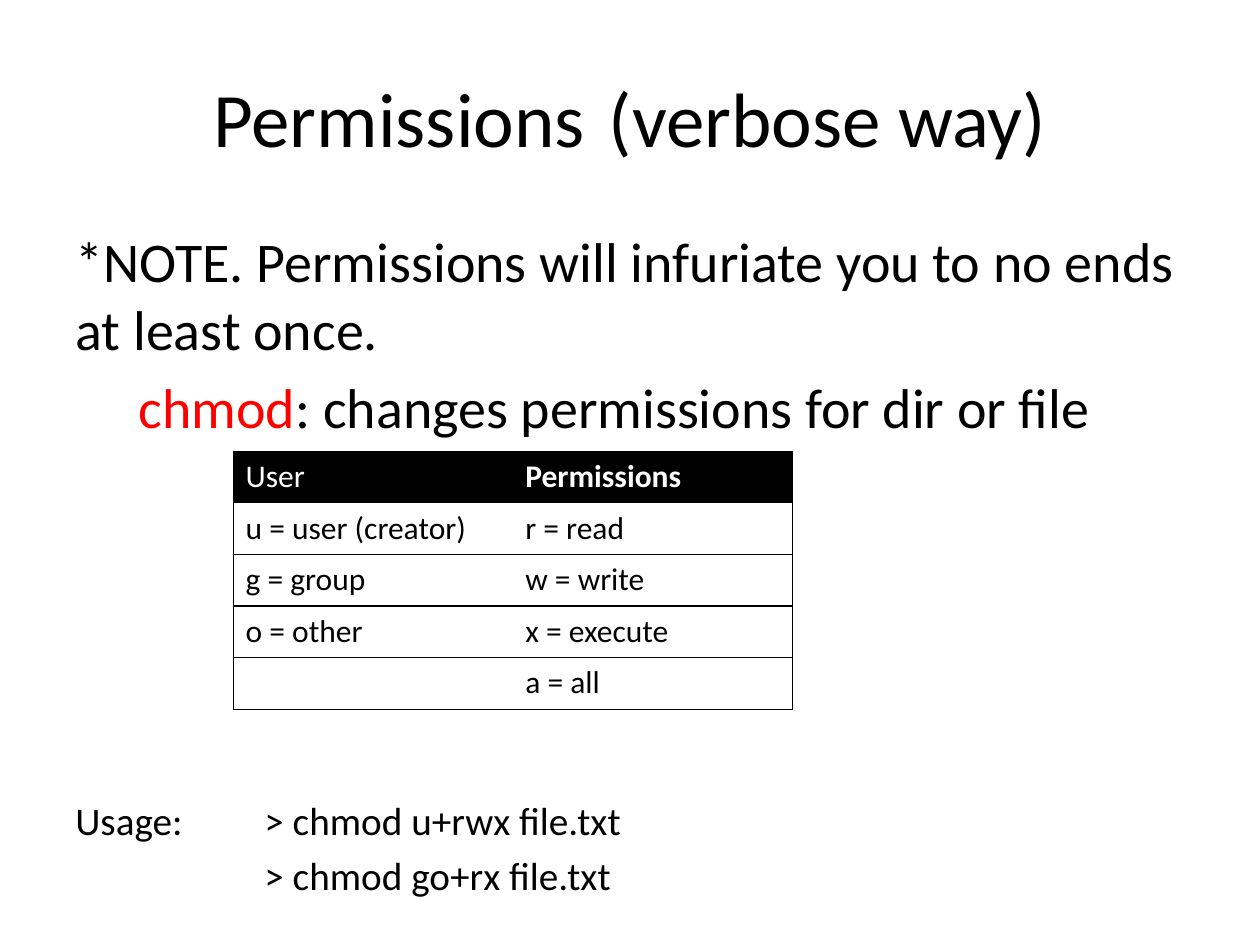
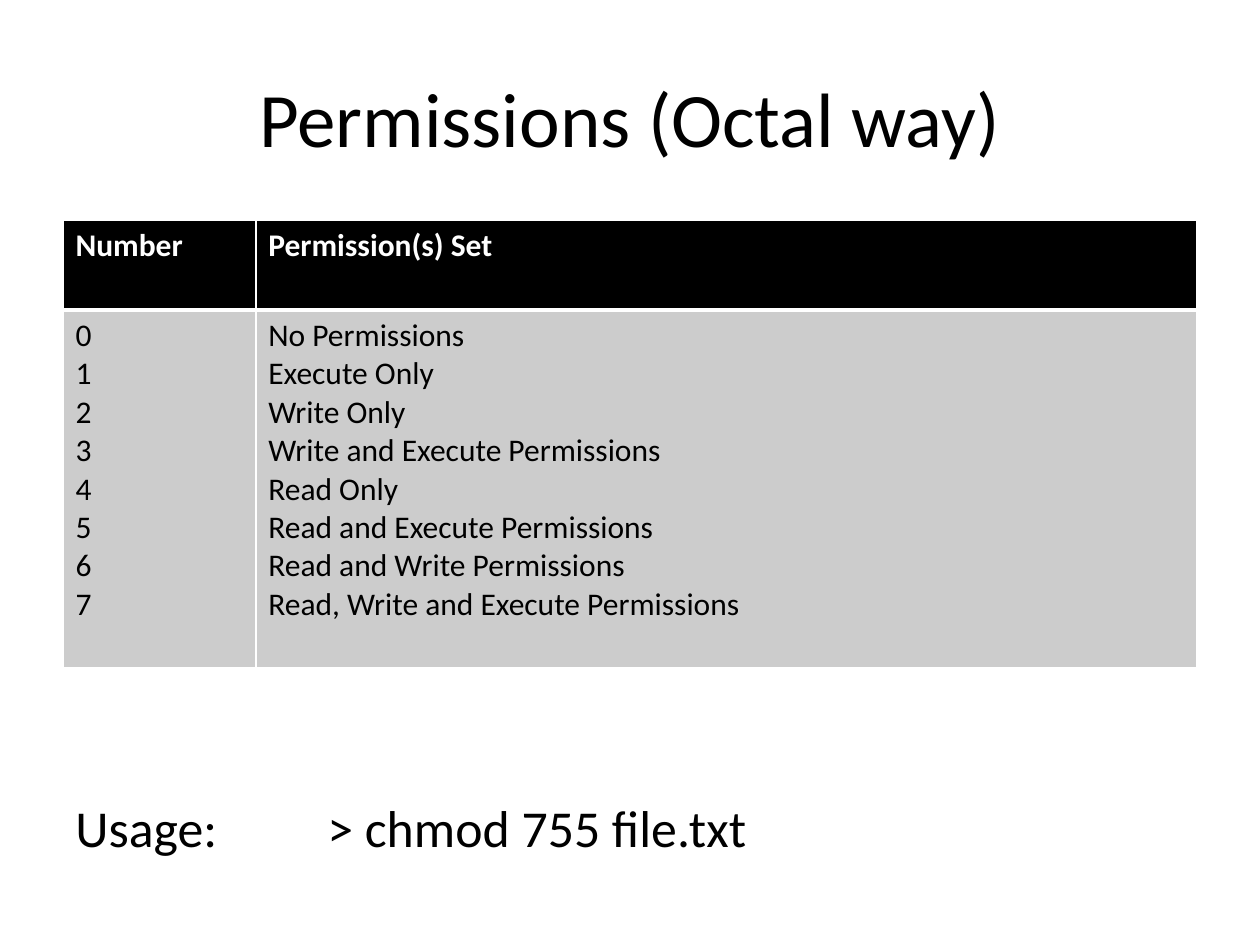
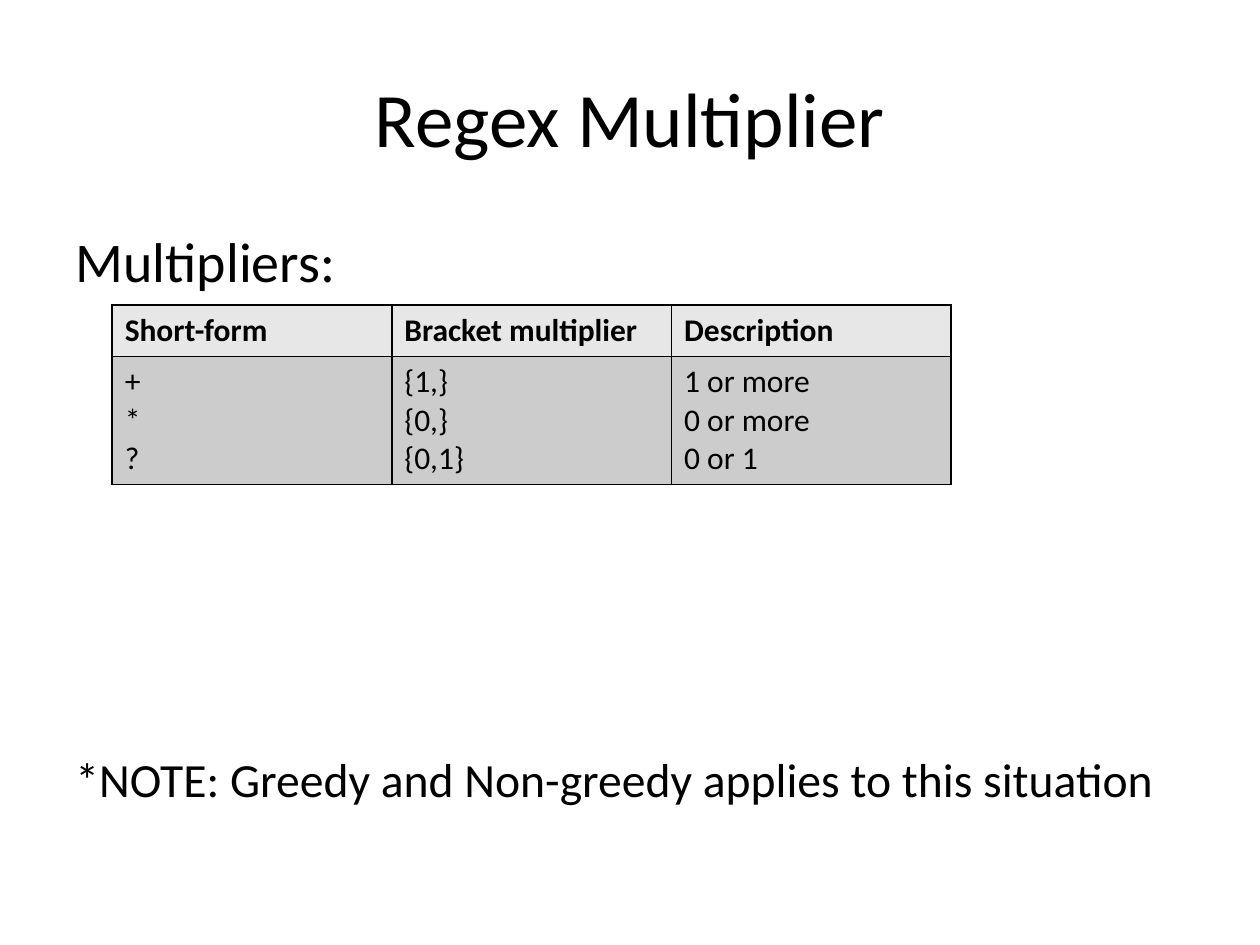
import pptx
import pptx.dml.color
import pptx.enum.text
import pptx.oxml.ns
import pptx.util
from lxml import etree

Inches = pptx.util.Inches
Pt = pptx.util.Pt
RGBColor = pptx.dml.color.RGBColor

BLACK = RGBColor(0x00, 0x00, 0x00)
WHITE = RGBColor(0xFF, 0xFF, 0xFF)
RED = RGBColor(0xFF, 0x00, 0x00)
LIGHT_GREY = RGBColor(0xE7, 0xE7, 0xE7)
GREY = RGBColor(0xCC, 0xCC, 0xCC)


def add_element(parent, tag, **attributes):
    element = etree.SubElement(parent, pptx.oxml.ns.qn(tag))
    for name, value in attributes.items():
        element.set(name, str(value))
    return element


class SlideBuilder:
    font_name = "Calibri"
    left = 0.5
    width = 9
    title_size = 44
    body_size = 32
    table_size = 18
    header_text = WHITE

    def __init__(self, deck):
        self.deck = deck
        self.slide = None

    def place(self, shape, left, top, width, height):
        shape.left, shape.top = Inches(left), Inches(top)
        shape.width, shape.height = Inches(width), Inches(height)

    def format_run(self, run, size, color=BLACK, bold=False):
        run.font.name = self.font_name
        run.font.size = Pt(size)
        run.font.color.rgb = color
        run.font.bold = bold

    def new_slide(self, title, has_body=True):
        layout = self.deck.slide_layouts[1 if has_body else 5]
        self.slide = self.deck.slides.add_slide(layout)
        box = self.slide.shapes.title
        self.place(box, self.left, 0.3, self.width, 1.25)
        box.text_frame.text = title
        self.format_run(box.text_frame.paragraphs[0].runs[0], self.title_size)

    def fill_frame(self, frame, lines, size):
        frame.word_wrap = True
        frame.auto_size = pptx.enum.text.MSO_AUTO_SIZE.NONE
        frame.text = "\n".join(lines)
        for index, para in enumerate(frame.paragraphs):
            para.space_before = Pt(round(size * 0.2, 1) if index else 0)
            for run in para.runs:
                self.format_run(run, size)

    def body(self, lines, height):
        box = self.slide.placeholders[1]
        self.place(box, self.left, 1.75, self.width, height)
        self.fill_frame(box.text_frame, lines, self.body_size)
        for para in box.text_frame.paragraphs:
            properties = para._p.get_or_add_pPr()
            properties.set("marL", "0")
            properties.set("indent", "0")
            add_element(properties, "a:buNone")
        return box.text_frame

    def text_box(self, lines, top, height, size, tab=None):
        box = self.slide.shapes.add_textbox(
            Inches(self.left), Inches(top), Inches(self.width), Inches(height))
        self.fill_frame(box.text_frame, lines, size)
        if tab:
            for para in box.text_frame.paragraphs:
                tabs = add_element(para._p.get_or_add_pPr(), "a:tabLst")
                add_element(tabs, "a:tab", pos=Inches(tab), algn="l")

    def border(self, cell, side, color, width):
        line = add_element(cell._tc.get_or_add_tcPr(), "a:ln" + side, w=Pt(width))
        if width:
            fill = add_element(line, "a:solidFill")
            add_element(fill, "a:srgbClr", val=color)
        else:
            add_element(line, "a:noFill")

    def table(self, rows, left, top, columns, heights, header_fill, body_fill,
              header_text, line_color, line=1, inner_vertical=1, header_rule=1):
        shape = self.slide.shapes.add_table(
            len(rows), len(columns), Inches(left), Inches(top),
            Inches(sum(columns)), Inches(sum(heights)))
        table = shape.table
        table.horz_banding = False
        for column, width in zip(table.columns, columns):
            column.width = Inches(width)
        for row, height in zip(table.rows, heights):
            row.height = Inches(height)
        for row_index, row in enumerate(rows):
            is_header = row_index == 0
            for column_index, text in enumerate(row):
                cell = table.cell(row_index, column_index)
                cell.text = text
                for para in cell.text_frame.paragraphs:
                    for run in para.runs:
                        self.format_run(run, self.table_size,
                                        header_text if is_header else BLACK, is_header)
                widths = {
                    "L": inner_vertical if column_index else line,
                    "R": inner_vertical if column_index < len(columns) - 1 else line,
                    "T": header_rule if row_index == 1 else line,
                    "B": header_rule if is_header else line,
                }
                for side, width in widths.items():
                    self.border(cell, side, line_color, width)
                cell.fill.solid()
                cell.fill.fore_color.rgb = header_fill if is_header else body_fill
        return table


def verbose_permissions(builder):
    builder.new_slide("Permissions\t (verbose way)")
    frame = builder.body([
        "*NOTE. Permissions will infuriate you to no ends at least once.",
        "chmod",
    ], 3.91)
    command = frame.paragraphs[1]
    command._p.get_or_add_pPr().set("marL", str(Inches(0.5)))
    command.runs[0].font.color.rgb = RED
    meaning = command.add_run()
    meaning.text = ": changes permissions for dir or file"
    builder.format_run(meaning, builder.body_size)
    builder.text_box(["Usage:\t> chmod u+rwx file.txt", "\t> chmod go+rx file.txt"],
                     6.27, 1.13, 22.4, tab=1.5)
    rows = [
        ("User", "Permissions"),
        ("u = user (creator)", "r = read"),
        ("g = group", "w = write"),
        ("o = other", "x = execute"),
        ("", "a = all"),
    ]
    table = builder.table(rows, 1.85, 3.58, [2.22] * 2, [0.41] * len(rows),
                          BLACK, WHITE, WHITE, BLACK,
                          line=0.75, inner_vertical=0, header_rule=0.75)
    table.cell(0, 0).text_frame.paragraphs[0].runs[0].font.bold = False


def octal_permissions(builder):
    builder.new_slide("Permissions (Octal way)", has_body=False)
    permissions = [
        "No Permissions",
        "Execute Only",
        "Write Only",
        "Write and Execute Permissions",
        "Read Only",
        "Read and Execute Permissions",
        "Read and Write Permissions",
        "Read, Write and Execute Permissions",
    ]
    numbers = [str(number) for number in range(len(permissions))]
    rows = [("Number", "Permission(s) Set"),
            ("\n".join(numbers), "\n".join(permissions))]
    builder.table(rows, 0.5, 1.75, [1.53, 7.47], [0.71, 2.84],
                  BLACK, GREY, WHITE, WHITE, header_rule=3)
    builder.text_box(["Usage:\t> chmod 755 file.txt"], 6.27, 1.13, 29.6, tab=2)


def regex_multiplier(builder):
    builder.new_slide("Regex Multiplier")
    builder.body(["Multipliers:"], 4.95)
    rows = [("Short-form", "Bracket multiplier", "Description"),
            ("+\n*\n?", "{1,}\n{0,}\n{0,1}", "1 or more\n0 or more\n0 or 1")]
    builder.table(rows, 0.89, 2.42, [2.22] * 3, [0.41, 1.01],
                  LIGHT_GREY, GREY, BLACK, BLACK)
    builder.text_box(["*NOTE: Greedy and Non-greedy applies to this situation"],
                     5.9, 0.71, 27.2)


def main():
    deck = pptx.Presentation()
    deck.slide_width, deck.slide_height = Inches(10), Inches(7.5)
    builder = SlideBuilder(deck)
    verbose_permissions(builder)
    octal_permissions(builder)
    regex_multiplier(builder)
    deck.save("out.pptx")


if __name__ == "__main__":
    main()
